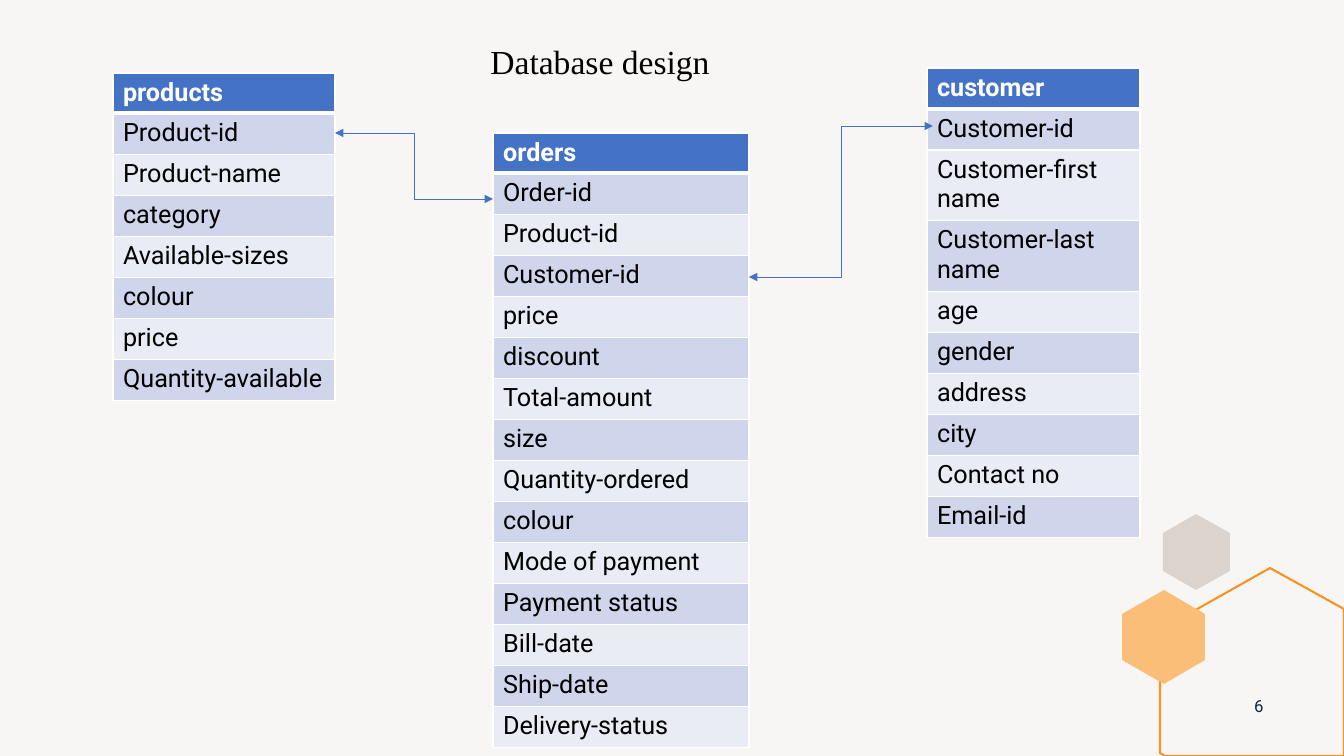
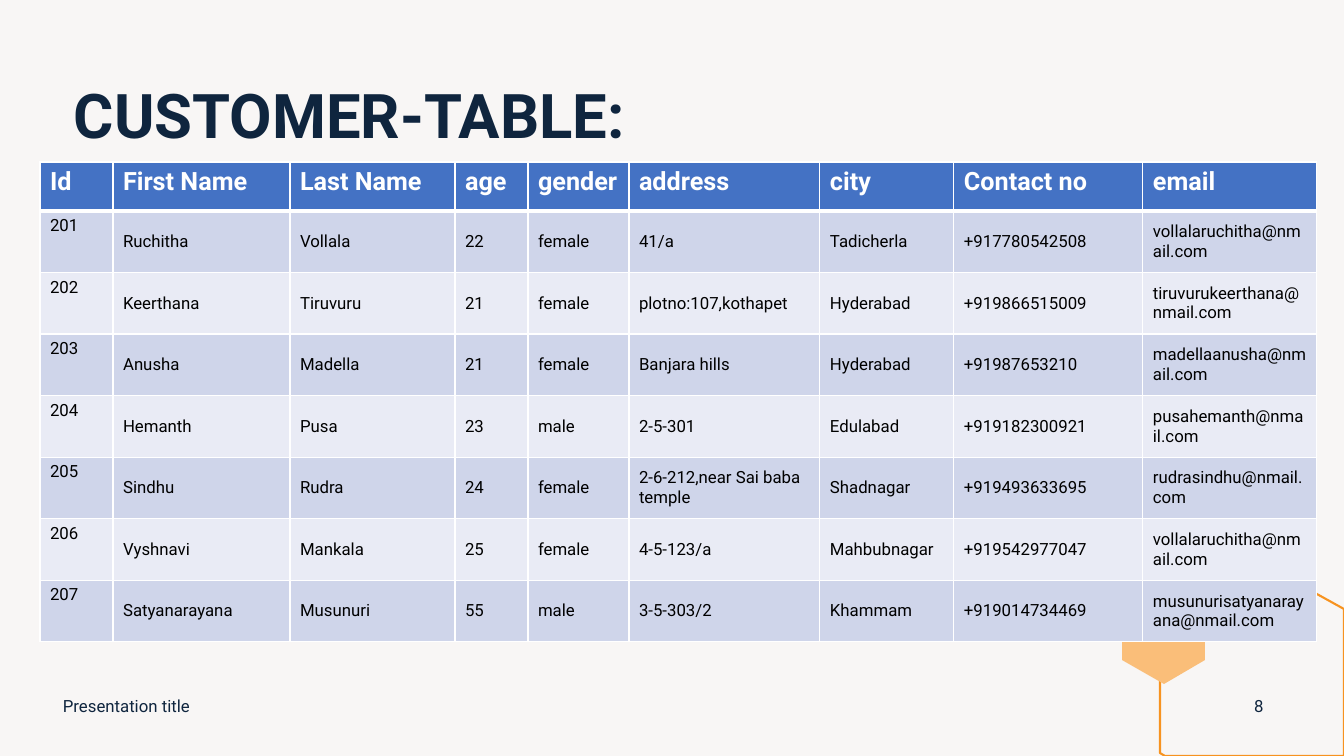
import itertools
import lxml.etree
import pptx
import pptx.dml.color
import pptx.enum.shapes
import pptx.enum.text
import pptx.oxml.ns
import pptx.util

THEME = {
    "back": "F8F6F5", "navy": "0F253E", "black": "000000", "white": "FFFFFF",
    "blue": "4472C4", "bands": ("CFD5EA", "E9EBF5"),
    "sand": "DCD3CC", "peach": "FABE79", "orange": "F79320",
    "sans": "Roboto", "serif": "Times New Roman",
    "title": 44, "head": 24, "cell": 18, "small": 12,
}
PX = 914400 / 100.8
WIDE, HIGH = 1344, 756

FRAME = [(1270, 568), (1344, 609), (1344, 756), (1165, 756), (1160, 753), (1160, 630)]

LISTS = [
    {"at": (113, 73), "wide": 222, "head": 39, "tall": (),
     "names": ["products", "Product-id", "Product-name", "category", "Available-sizes",
               "colour", "price", "Quantity-available"]},
    {"at": (493, 133), "wide": 256, "head": 39, "tall": (),
     "names": ["orders", "Order-id", "Product-id", "Customer-id", "price", "discount",
               "Total-amount", "size", "Quantity-ordered", "colour", "Mode of payment",
               "Payment status", "Bill-date", "Ship-date", "Delivery-status"]},
    {"at": (927, 68), "wide": 213, "head": 41, "tall": (2, 3),
     "names": ["customer", "Customer-id", "Customer-first name", "Customer-last name",
               "age", "gender", "address", "city", "Contact no", "Email-id"]},
]
ROW, TALL = 41, 69
LINKS = [(335, 133, 493, 199), (933, 126, 749, 277)]

COLS = [73, 177, 165, 73, 101, 191, 134, 189, 174]
PEOPLE = [
    ("Id", "First Name", "Last Name", "age", "gender", "address", "city", "Contact no", "email"),
    ("201", "Ruchitha", "Vollala", "22", "female", "41/a", "Tadicherla",
     "+917780542508", "vollalaruchitha@nmail.com"),
    ("202", "Keerthana", "Tiruvuru", "21", "female", "plotno:107,kothapet", "Hyderabad",
     "+919866515009", "tiruvurukeerthana@nmail.com"),
    ("203", "Anusha", "Madella", "21", "female", "Banjara hills", "Hyderabad",
     "+91987653210", "madellaanusha@nmail.com"),
    ("204", "Hemanth", "Pusa", "23", "male", "2-5-301", "Edulabad",
     "+919182300921", "pusahemanth@nmail.com"),
    ("205", "Sindhu", "Rudra", "24", "female", "2-6-212,near Sai baba temple", "Shadnagar",
     "+919493633695", "rudrasindhu@nmail.com"),
    ("206", "Vyshnavi", "Mankala", "25", "female", "4-5-123/a", "Mahbubnagar",
     "+919542977047", "vollalaruchitha@nmail.com"),
    ("207", "Satyanarayana", "Musunuri", "55", "male", "3-5-303/2", "Khammam",
     "+919014734469", "musunurisatyanarayana@nmail.com"),
]
TOP, HEAD, TOTAL = 162, 49, 480

ALIGN = pptx.enum.text.PP_ALIGN
ANCHOR = pptx.enum.text.MSO_ANCHOR


def emu(*nums):
    return [pptx.util.Emu(round(n * PX)) for n in nums]


def paint(fill, tone):
    fill.solid()
    fill.fore_color.rgb = pptx.dml.color.RGBColor.from_string(tone)


def put(frame, text, size, tone="navy", font="sans", bold=False, align=ALIGN.LEFT, space=None):
    para = frame.paragraphs[0]
    para.alignment = align
    para.line_spacing = space
    run = para.add_run()
    run.text = text
    run.font.size = pptx.util.Pt(THEME[size])
    run.font.name = THEME[font]
    run.font.bold = bold
    run.font.color.rgb = pptx.dml.color.RGBColor.from_string(THEME[tone])


def add_text(slide, box, text, size, anchor=ANCHOR.TOP, **form):
    frame = slide.shapes.add_textbox(*emu(*box)).text_frame
    frame.word_wrap = True
    frame.vertical_anchor = anchor
    put(frame, text, size, **form)


def add_free(slide, points, fill=None, line=None):
    pen = slide.shapes.build_freeform(*points[0], scale=PX)
    pen.add_line_segments(points[1:], close=True)
    shape = pen.convert_to_shape()
    shape.shadow.inherit = False
    if fill:
        paint(shape.fill, fill)
    else:
        shape.fill.background()
    if line:
        paint(shape.line.fill, line)
        shape.line.width = pptx.util.Pt(1.5)
    else:
        shape.line.fill.background()


def add_hex(slide, left, top, wide, high, tone):
    mid, right = left + wide / 2, left + wide
    up, low = top + high / 4, top + high * 3 / 4
    add_free(slide, [(mid, top), (right, up), (right, low),
                     (mid, top + high), (left, low), (left, up)], fill=tone)


def tag(root, name, **attrs):
    return lxml.etree.SubElement(root, pptx.oxml.ns.qn("a:" + name), **attrs)


def edge(cell, row):
    props = cell._tc.get_or_add_tcPr()
    thick = {"lnT": row == 1, "lnB": row == 0}
    for side in ("lnL", "lnR", "lnT", "lnB"):
        width = pptx.util.Pt(3 if thick.get(side) else 1)
        line = tag(props, side, w=str(width))
        tag(tag(line, "solidFill"), "srgbClr", val=THEME["white"])


def add_grid(slide, left, top, cols, highs, rows, size):
    shape = slide.shapes.add_table(len(rows), len(cols),
                                   *emu(left, top, sum(cols), sum(highs)))
    table = shape.table
    for col, wide in zip(table.columns, emu(*cols)):
        col.width = wide
    for row, high in zip(table.rows, emu(*highs)):
        row.height = high
    for r, c in itertools.product(range(len(rows)), range(len(cols))):
        cell = table.cell(r, c)
        edge(cell, r)
        paint(cell.fill, THEME["bands"][(r - 1) % 2] if r else THEME["blue"])
        if r and c:
            cell.vertical_anchor = ANCHOR.MIDDLE
        put(cell.text_frame, rows[r][c], size if r else "cell",
            tone="black" if r else "white", bold=not r)


def add_link(slide, ends):
    link = slide.shapes.add_connector(pptx.enum.shapes.MSO_CONNECTOR.ELBOW, *emu(*ends))
    paint(link.line.fill, THEME["blue"])
    link.line.width = pptx.util.Pt(0.5)
    for end in ("headEnd", "tailEnd"):
        tag(link.line._get_or_add_ln(), end, type="triangle")
    tag(link._element.spPr, "effectLst")


def add_slide(deck, page):
    slide = deck.slides.add_slide(deck.slide_layouts[6])
    paint(slide.background.fill, THEME["back"])
    add_hex(slide, 1163, 514, 67, 76, THEME["sand"])
    add_free(slide, FRAME, line=THEME["orange"])
    add_hex(slide, 1122, 590, 83, 94, THEME["peach"])
    add_text(slide, (1234, 686, 50, 40), page, "small",
             anchor=ANCHOR.MIDDLE, align=ALIGN.CENTER)
    return slide


def design(deck):
    slide = add_slide(deck, "6")
    for item in LISTS:
        names = item["names"]
        highs = [item["head"]] + [TALL if n in item["tall"] else ROW
                                  for n in range(1, len(names))]
        add_grid(slide, *item["at"], [item["wide"]], highs, [[n] for n in names], "cell")
    for ends in LINKS:
        add_link(slide, ends)
    add_text(slide, (432, 36, 336, 50), "Database design", "head",
             tone="black", font="serif", align=ALIGN.CENTER)


def people(deck):
    slide = add_slide(deck, "8")
    add_text(slide, (64, 80, 1200, 156), "CUSTOMER-TABLE:", "title", bold=True, space=0.9)
    add_text(slide, (53, 686, 454, 40), "Presentation title", "small", anchor=ANCHOR.MIDDLE)
    count = len(PEOPLE) - 1
    highs = [HEAD] + [(TOTAL - HEAD) / count] * count
    add_grid(slide, 40, TOP, COLS, highs, PEOPLE, "small")


def main():
    deck = pptx.Presentation()
    deck.slide_width, deck.slide_height = emu(WIDE, HIGH)
    design(deck)
    people(deck)
    deck.save("out.pptx")


if __name__ == "__main__":
    main()
